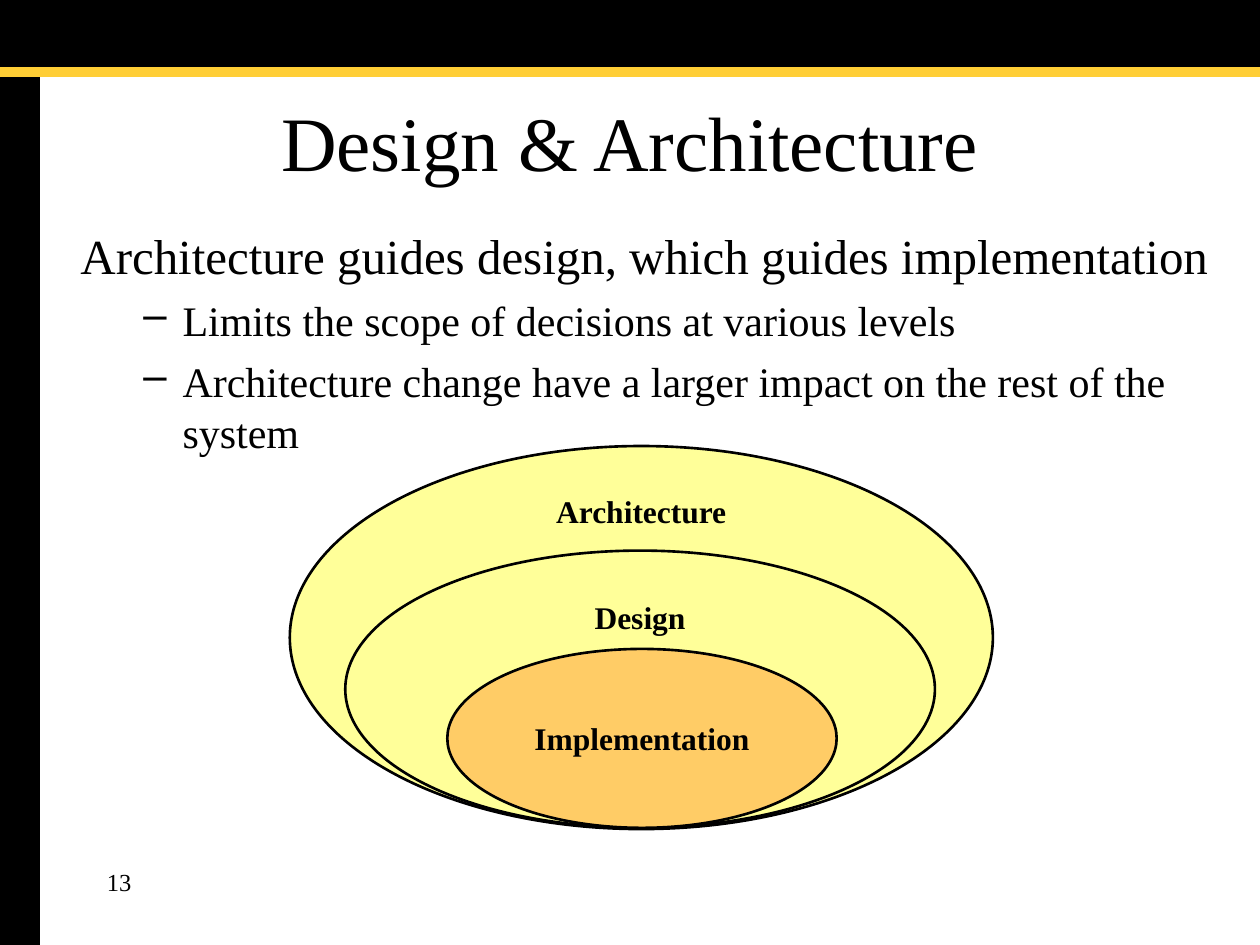
from lxml.etree import SubElement
from pptx import Presentation
from pptx.dml.color import RGBColor
from pptx.enum.shapes import MSO_CONNECTOR, MSO_SHAPE
from pptx.enum.text import MSO_ANCHOR, PP_ALIGN
from pptx.oxml.ns import qn
from pptx.util import Inches, Pt

FONT = "Times New Roman"
COLORS = {"black": "000000", "gold": "FFCE36",
          "yellow": "FFFF99", "orange": "FFCC66"}

TITLE = "Design & Architecture"
NUMBER = "13"
# text, level
BODY = [
    ("Architecture guides design, which guides implementation", 0),
    ("Limits the scope of decisions at various levels", 1),
    ("Architecture change have a larger impact on the rest of the system", 1),
]
# size, space before, left margin, first-line indent
LEVELS = [(28, 0, 0.38, -0.38), (24, 6, 0.81, -0.31)]
BARS = [(0, 0, 10, 0.54), (-0.02, 0, 0.33, 7.5)]
# label, box, fill, lines the label is raised above the bottom
RINGS = [
    ("Architecture", (2.3, 3.54, 5.58, 3.04), "yellow", 7),
    ("Design", (2.74, 4.37, 4.68, 2.2), "yellow", 4),
    ("Implementation", (3.55, 5.15, 3.09, 1.42), "orange", 0),
]
LABEL = 18
LINE = LABEL * 1.15 / 72  # height of one label line, inches


def color(name):
    return RGBColor.from_string(COLORS[name])


def place(box):
    return [Inches(v) for v in box]


def write(para, text, size, bold=False):
    run = para.add_run()
    run.text = text
    font = run.font
    font.name, font.size, font.bold = FONT, Pt(size), bold
    font.color.rgb = color("black")


def draw(slide, kind, box, fill, width):
    shape = slide.shapes.add_shape(kind, *place(box))
    shape.shadow.inherit = False
    shape.fill.solid()
    shape.fill.fore_color.rgb = color(fill)
    shape.line.color.rgb = color("black")
    shape.line.width = Pt(width)
    return shape


def add_frame(slide):
    for box in BARS:
        draw(slide, MSO_SHAPE.RECTANGLE, box, "black", 0.75)
    rule = slide.shapes.add_connector(
        MSO_CONNECTOR.STRAIGHT, *place((0, 0.57, 10, 0.57)))
    rule.line.color.rgb = color("gold")
    rule.line.width = Pt(6)
    SubElement(rule._element.spPr, qn("a:effectLst"))


def add_title(slide):
    title = slide.shapes.title
    title.left, title.top, title.width, title.height = place(
        (0.75, 0.67, 8.5, 0.9))
    frame = title.text_frame
    frame.vertical_anchor = MSO_ANCHOR.MIDDLE
    para = frame.paragraphs[0]
    para.alignment = PP_ALIGN.CENTER
    write(para, TITLE, 44)


def add_text(slide, box):
    frame = slide.shapes.add_textbox(*place(box)).text_frame
    frame.word_wrap = True
    return frame


def add_body(slide):
    frame = add_text(slide, (0.54, 1.74, 9.28, 4.93))
    for i, (text, level) in enumerate(BODY):
        para = frame.add_paragraph() if i else frame.paragraphs[0]
        size, before, left, indent = LEVELS[level]
        para.level = level
        para.space_before = Pt(before)
        props = para._p.get_or_add_pPr()
        props.set("marL", str(Inches(left)))
        props.set("indent", str(Inches(indent)))
        if level:
            SubElement(props, qn("a:buChar")).set("char", "–")
        else:
            SubElement(props, qn("a:buNone"))
        write(para, text, size)


def add_rings(slide):
    for text, box, fill, rise in RINGS:
        frame = draw(slide, MSO_SHAPE.OVAL, box, fill, 1.5).text_frame
        frame.word_wrap = False
        frame.vertical_anchor = MSO_ANCHOR.MIDDLE
        frame.margin_left = frame.margin_right = Inches(0.12)
        frame.margin_top = Inches(0.06)
        frame.margin_bottom = Inches(0.06 + rise * LINE)
        para = frame.paragraphs[0]
        para.alignment = PP_ALIGN.CENTER
        write(para, text, LABEL, bold=True)


def main():
    deck = Presentation()
    deck.slide_width, deck.slide_height = Inches(10), Inches(7.5)
    slide = deck.slides.add_slide(deck.slide_layouts[5])

    add_frame(slide)
    add_title(slide)
    add_body(slide)
    add_rings(slide)

    # Slide number
    number = add_text(slide, (0.75, 6.83, 2.08, 0.5))
    write(number.paragraphs[0], NUMBER, 14)

    deck.save("out.pptx")


if __name__ == "__main__":
    main()
